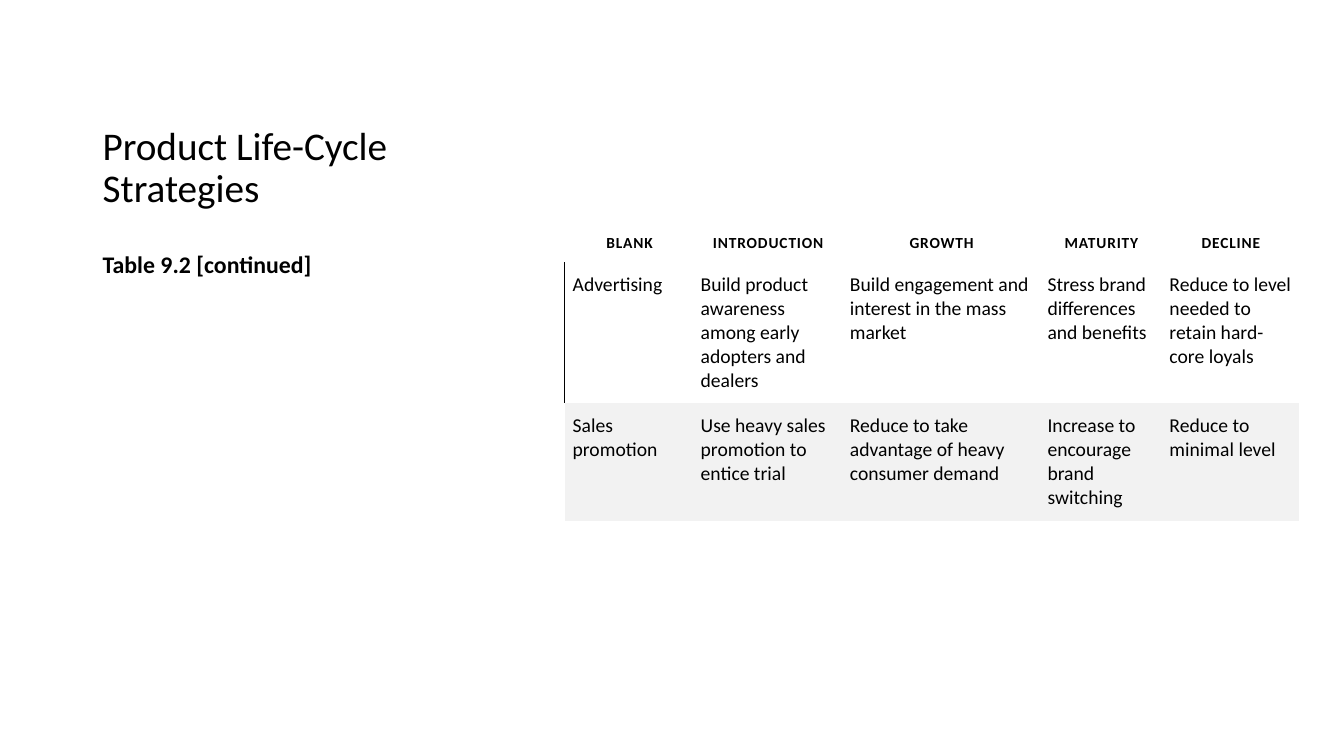
from dataclasses import dataclass

from lxml import etree
from pptx import Presentation
from pptx.dml.color import RGBColor
from pptx.enum.text import MSO_ANCHOR as Anchor, PP_ALIGN as Align
from pptx.oxml.ns import qn
from pptx.util import Pt

EMU_PER_PX = 9144  # 100 px to the inch
FONT = "Calibri"
BLACK = RGBColor(0x00, 0x00, 0x00)
BAND_GRAY = RGBColor(0xF2, 0xF2, 0xF2)
NO_STYLE_NO_GRID = "{2D5ABB26-0587-4C30-8999-92F81FD0307C}"

TABLE_LEFT, TABLE_TOP = 560, 222
COLUMN_WIDTHS = (127, 148, 196, 121, 136)


@dataclass(frozen=True)
class TextBlock:
    text: str
    top: int
    height: int
    size: int
    bold: bool = False
    anchor: Anchor = Anchor.TOP
    space_before: int = 0


@dataclass(frozen=True)
class TableRow:
    height: int
    texts: tuple[str, ...]
    header: bool = False
    banded: bool = False
    left_rule: bool = False


TEXT_BLOCKS = (
    TextBlock("Product Life-Cycle Strategies", 107, 121, 28, anchor=Anchor.MIDDLE),
    TextBlock("Table 9.2 [continued]", 246, 389, 17, bold=True, space_before=6),
)

TABLE_ROWS = (
    TableRow(38, ("BLANK", "INTRODUCTION", "GROWTH", "MATURITY", "DECLINE"), header=True),
    TableRow(140, (
        "Advertising",
        "Build product awareness among early adopters and dealers",
        "Build engagement and interest in the mass market",
        "Stress brand differences and benefits",
        "Reduce to level needed to retain hard-core loyals",
    ), left_rule=True),
    TableRow(117, (
        "Sales promotion",
        "Use heavy sales promotion to entice trial",
        "Reduce to take advantage of heavy consumer demand",
        "Increase to encourage brand switching",
        "Reduce to minimal level",
    ), banded=True),
)


def px(length: int) -> int:
    return length * EMU_PER_PX


def style_font(font, size: int, bold: bool) -> None:
    font.name = FONT
    font.size = Pt(size)
    font.bold = bold
    font.color.rgb = BLACK


def add_text_block(slide, block: TextBlock) -> None:
    shape = slide.shapes.add_textbox(px(92), px(block.top), px(373), px(block.height))
    frame = shape.text_frame
    frame.word_wrap = True
    frame.vertical_anchor = block.anchor
    paragraph = frame.paragraphs[0]
    paragraph.text = block.text
    paragraph.line_spacing = 0.9
    paragraph.space_before = Pt(block.space_before)
    style_font(paragraph.font, block.size, block.bold)


def add_left_rule(cell) -> None:
    line = etree.Element(qn("a:lnL"), w=str(Pt(1)))
    fill = etree.SubElement(line, qn("a:solidFill"))
    etree.SubElement(fill, qn("a:srgbClr"), val=str(BLACK))
    cell._tc.get_or_add_tcPr().insert(0, line)


def fill_cell(cell, text: str, row: TableRow) -> None:
    cell.margin_left, cell.margin_right = px(8), px(6)
    cell.margin_top, cell.margin_bottom = px(9 if row.header else 11), px(9)
    cell.vertical_anchor = Anchor.BOTTOM if row.header else Anchor.TOP
    if row.banded:
        cell.fill.solid()
        cell.fill.fore_color.rgb = BAND_GRAY
    else:
        cell.fill.background()
    paragraph = cell.text_frame.paragraphs[0]
    paragraph.alignment = Align.CENTER if row.header else Align.LEFT
    run = paragraph.add_run()
    run.text = text
    style_font(run.font, 11 if row.header else 14, row.header)
    if row.header:
        # Letter spacing is counted in hundredths of a point.
        run.font._element.set("spc", "60")


def add_strategy_table(slide) -> None:
    shape = slide.shapes.add_table(
        len(TABLE_ROWS), len(COLUMN_WIDTHS), px(TABLE_LEFT), px(TABLE_TOP),
        px(sum(COLUMN_WIDTHS)), px(sum(row.height for row in TABLE_ROWS)),
    )
    shape.element.find(f".//{qn('a:tableStyleId')}").text = NO_STYLE_NO_GRID
    table = shape.table
    table.horz_banding = False
    for column, width in zip(table.columns, COLUMN_WIDTHS):
        column.width = px(width)
    for table_row, row in zip(table.rows, TABLE_ROWS):
        table_row.height = px(row.height)
        for cell, text in zip(table_row.cells, row.texts):
            fill_cell(cell, text, row)
        if row.left_rule:
            add_left_rule(table_row.cells[0])


def main() -> None:
    presentation = Presentation()
    presentation.slide_width, presentation.slide_height = px(1333), px(750)
    slide = presentation.slides.add_slide(presentation.slide_layouts[6])
    for block in TEXT_BLOCKS:
        add_text_block(slide, block)
    add_strategy_table(slide)
    presentation.save("out.pptx")


if __name__ == "__main__":
    main()
